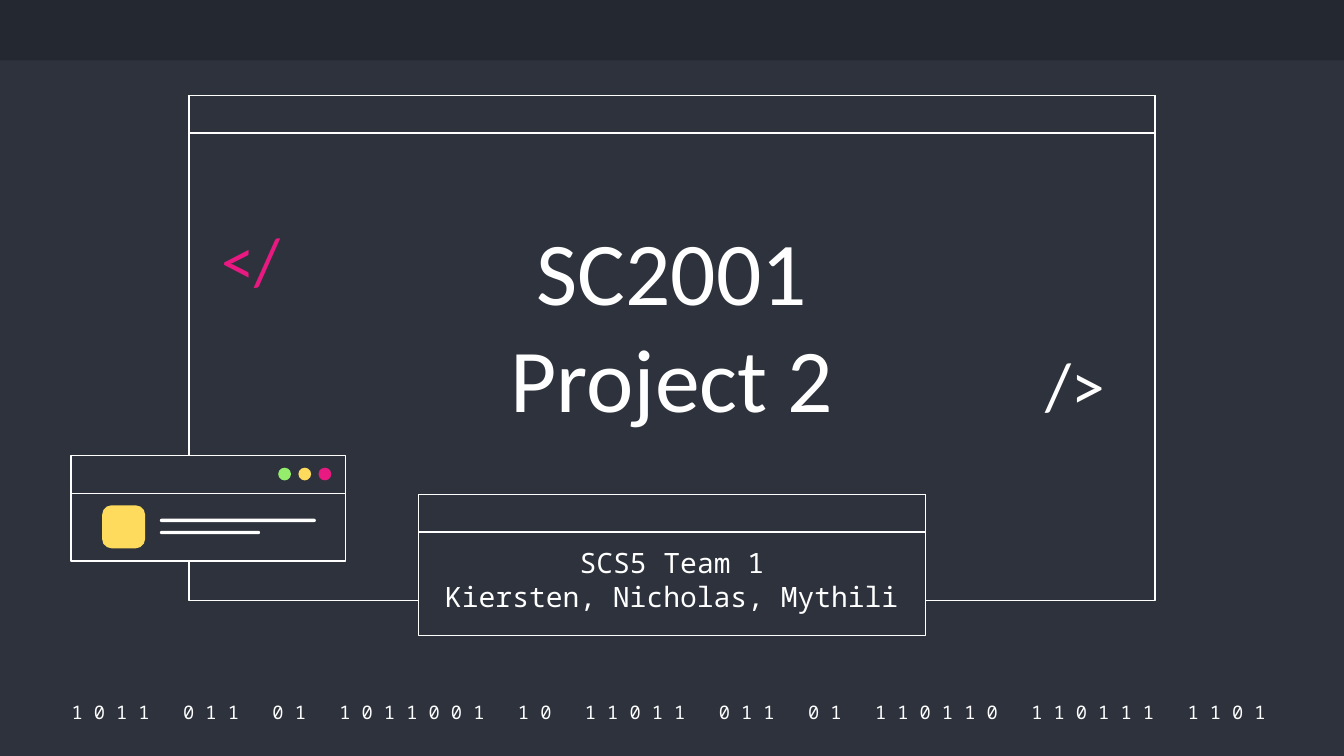
from pptx import Presentation
from pptx.dml.color import RGBColor
from pptx.enum.shapes import MSO_SHAPE
from pptx.enum.text import MSO_ANCHOR, PP_ALIGN
from pptx.util import Emu, Pt

PX = 4572
BACKGROUND, BAR, WHITE = "2D323C", "242830", "FFFFFF"
PINK, YELLOW, GREEN = "E81981", "FFDB5D", "94EE6B"
SANS, MONO = "Calibri", "Noto Sans Mono"


def color(value):
    return RGBColor.from_string(value)


def px(*lengths):
    return [Emu(length * PX) for length in lengths]


class Canvas:
    """Holds the style and the current slide, and draws elements on it."""

    def __init__(self, slide):
        self.slide = slide
        fill = slide.background.fill
        fill.solid()
        fill.fore_color.rgb = color(BACKGROUND)

    def shape(self, box, fill, kind=MSO_SHAPE.RECTANGLE, line=None, corner=None):
        shape = self.slide.shapes.add_shape(kind, *px(*box))
        shape.shadow.inherit = False
        shape.fill.solid()
        shape.fill.fore_color.rgb = color(fill)
        if line:
            shape.line.color.rgb = color(line)
            shape.line.width = Pt(0.75)
        else:
            shape.line.fill.background()
        if corner is not None:
            shape.adjustments[0] = corner

    def window(self, left, top, width, height):
        for part_top, part_height in ((top + 56, height - 56), (top, 56)):
            self.shape((left, part_top, width, part_height), BACKGROUND, line=WHITE)

    def framed_window(self, left, top, width, height):
        for part_height in (height, 56):
            self.shape((left, top, width, part_height), BACKGROUND, line=WHITE)

    def text(self, box, text, size, font, fill=WHITE, align=PP_ALIGN.CENTER,
             anchor=MSO_ANCHOR.MIDDLE, spacing=None):
        frame = self.slide.shapes.add_textbox(*px(*box)).text_frame
        frame.word_wrap = True
        frame.vertical_anchor = anchor
        frame.margin_left, frame.margin_top, frame.margin_right, frame.margin_bottom = px(20, 20, 20, 20)
        frame.text = text
        for paragraph in frame.paragraphs:
            paragraph.alignment = align
            if spacing:
                paragraph.line_spacing = spacing
            for run in paragraph.runs:
                run.font.size = Pt(size)
                run.font.name = font
                run.font.color.rgb = color(fill)


def main():
    presentation = Presentation()
    presentation.slide_width, presentation.slide_height = px(2000, 1125)
    canvas = Canvas(presentation.slides.add_slide(presentation.slide_layouts[6]))

    canvas.shape((0, 0, 2000, 90), BAR)
    groups = "1011 011 01 1011001 10 11011 011 01 110110 110111 1101".split()
    binary = "   ".join(" ".join(group) for group in groups) + " "
    canvas.text((76, 1040, 1854, 40), binary, 10, MONO)

    canvas.framed_window(281, 142, 1438, 752)
    canvas.framed_window(623, 736, 754, 210)

    for left, top, tag, fill in ((310, 326, "</", PINK), (1536, 513, "/>", WHITE)):
        canvas.text((left, top, 154, 132), tag, 36, SANS, fill, PP_ALIGN.LEFT, spacing=0.9)
    canvas.text((451, 265, 1098, 396), "SC2001\nProject 2", 48, SANS, anchor=MSO_ANCHOR.BOTTOM)
    canvas.text((623, 792, 754, 156), "SCS5 Team 1\nKiersten, Nicholas, Mythili", 15, MONO,
                anchor=MSO_ANCHOR.TOP)

    canvas.window(106, 678, 408, 157)
    rounded = MSO_SHAPE.ROUNDED_RECTANGLE
    canvas.shape((152, 752, 64, 64), YELLOW, rounded, corner=0.22)
    for top, width in ((772, 232), (790, 149)):
        canvas.shape((238, top, width, 5), WHITE, rounded, corner=0.5)
    for index, fill in enumerate((GREEN, YELLOW, PINK)):
        canvas.shape((414 + 30 * index, 696, 19, 19), fill, MSO_SHAPE.OVAL)

    presentation.save("out.pptx")


if __name__ == "__main__":
    main()
